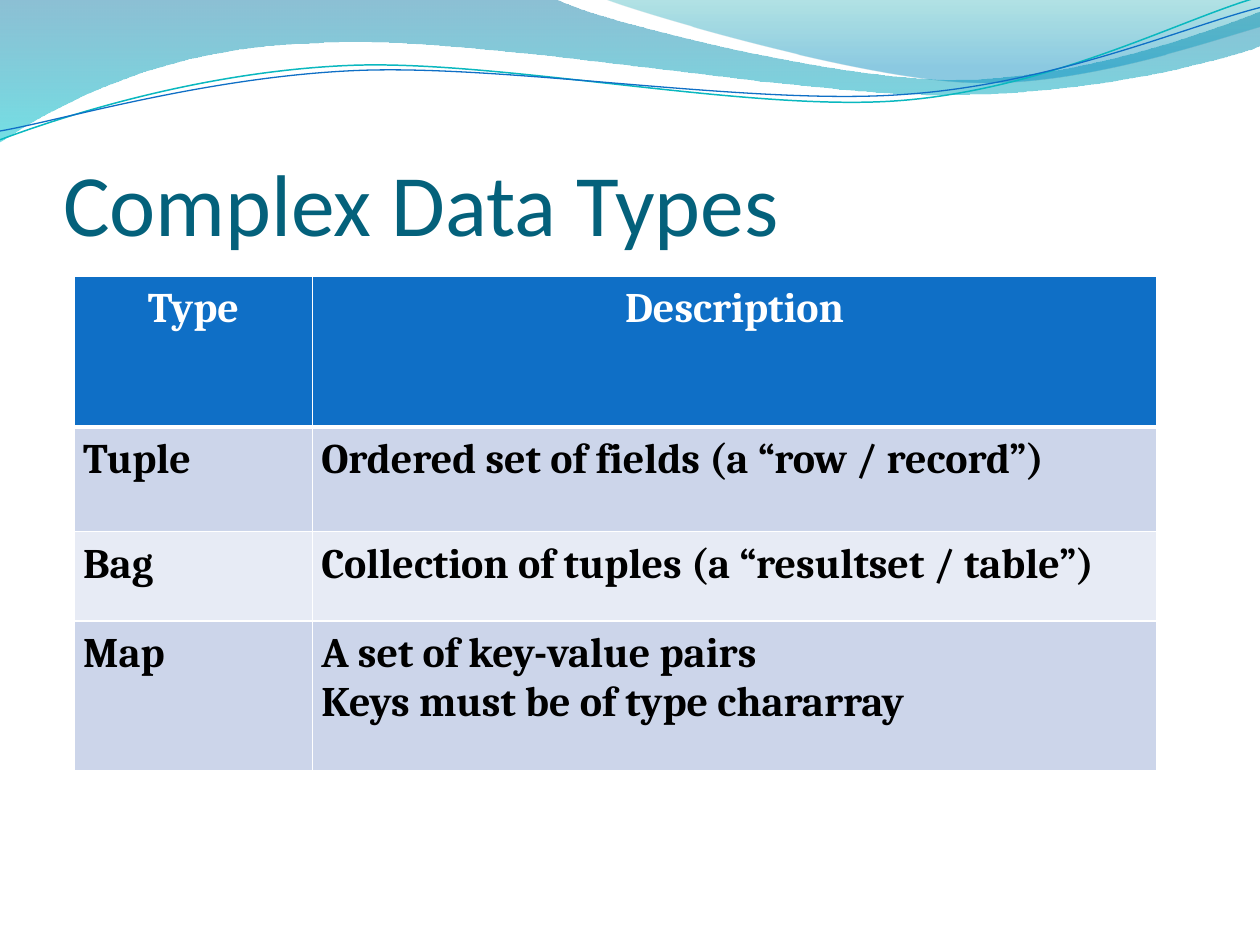
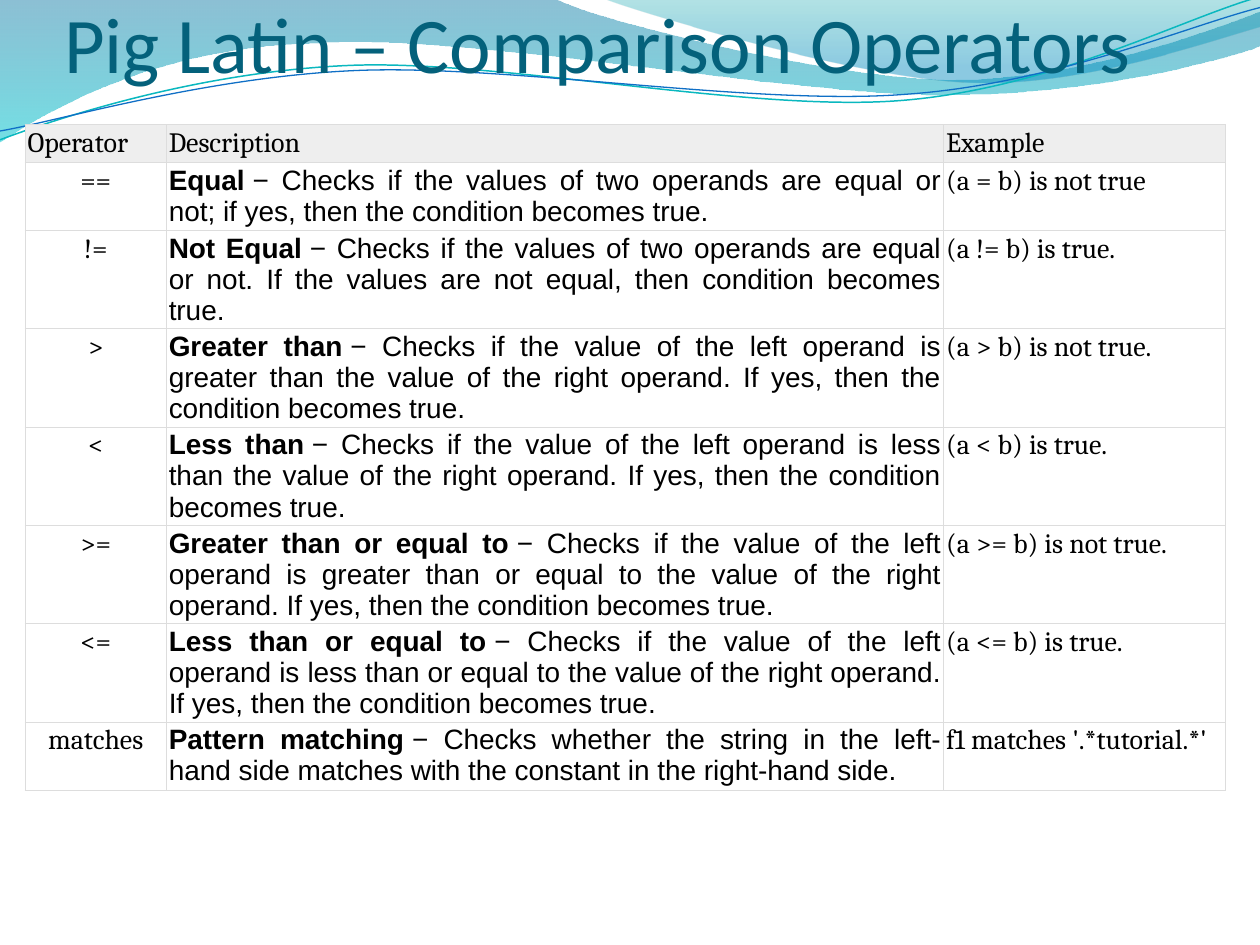
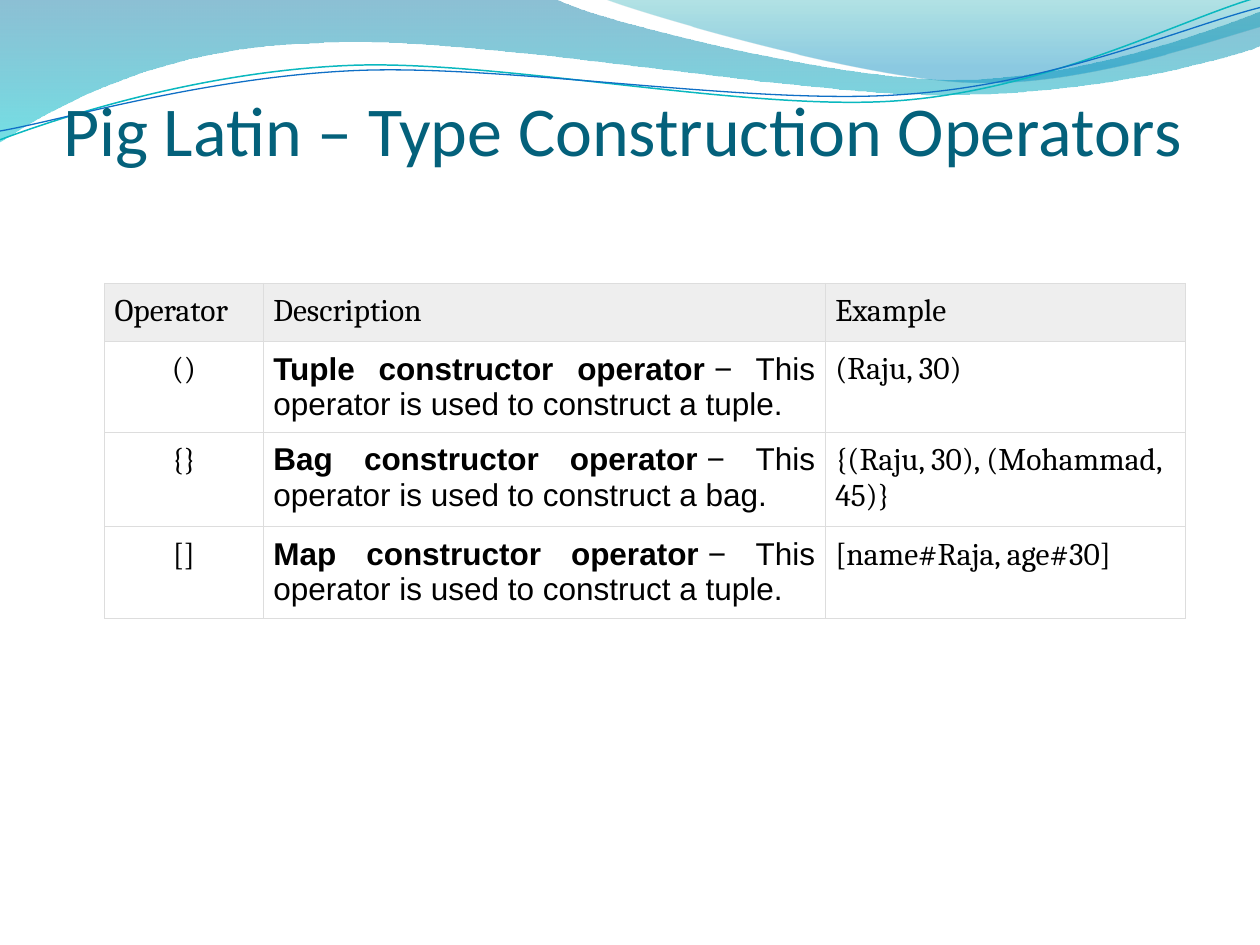
from lxml.etree import Element, SubElement as sub
from pptx import Presentation
from pptx.dml.color import RGBColor
from pptx.enum.text import MSO_ANCHOR as Anchor, MSO_AUTO_SIZE as Fit, PP_ALIGN as Align
from pptx.oxml.ns import qn
from pptx.util import Inches, Pt

WHITE = RGBColor(0xFF, 0xFF, 0xFF)
BLACK = RGBColor(0x00, 0x00, 0x00)
TITLE = RGBColor(0x04, 0x61, 0x7B)
BLUE = RGBColor(0x0F, 0x6F, 0xC6)
TEAL = RGBColor(0x0A, 0xB8, 0xBF)
DEEP = RGBColor(0x00, 0x74, 0xA1)
AQUA = RGBColor(0x00, 0xC6, 0xCF)
SEA = RGBColor(0x00, 0xA1, 0xA9)
SKY = RGBColor(0x00, 0x8B, 0xBF)
ODD = RGBColor(0xCC, 0xD5, 0xEA)
EVEN = RGBColor(0xE7, 0xEB, 0xF5)
GRAY = RGBColor(0xEE, 0xEE, 0xEE)
RULE = RGBColor(0xDD, 0xDD, 0xDD)

HEAD, SERIF, SANS = "Calibri", "Cambria", "Arial"
DASH = chr(160) + "− "

BANDS = [
    ([(0, 0), (4.4, -0.01),
      (4.76, 0.17, 6.64, 0.63, 7.58, 0.63), (8.53, 0.63, 9.58, 0.26, 10, 0.09),
      (10.01, 0.36), (9.83, 0.44, 8.7, 0.76, 7.46, 0.75),
      (6.22, 0.75, 3.82, 0.28, 2.57, 0.34), (1.29, 0.36, 0.46, 0.83, -0.01, 1.13)],
     [(0, DEEP, 45), (1, AQUA, 55)]),
    ([(4.79, -0.01), (5.09, 0.11, 6.82, 0.62, 7.69, 0.65),
      (8.56, 0.69, 9.61, 0.32, 10, 0.21), (10, 0)],
     [(0, SEA, 30), (0.8, SKY, 45)]),
]
WAVES = [
    ([(0, 1.11), (0.48, 0.93, 1.58, 0.57, 2.77, 0.52),
      (3.95, 0.47, 5.93, 0.89, 7.13, 0.8), (8.33, 0.71, 9.38, 0.15, 9.98, -0.02)],
     TEAL, 0.85),
    ([(0, 1.04), (0.47, 0.96, 1.64, 0.61, 2.83, 0.56),
      (4.03, 0.51, 5.97, 0.84, 7.17, 0.75), (8.36, 0.67, 9.41, 0.21, 10, 0.06)],
     BLUE, 0.75),
]

TYPES = [
    ("Type", ["Description"]),
    ("Tuple", ["Ordered set of fields (a “row / record”)"]),
    ("Bag", ["Collection of tuples (a “resultset / table”)"]),
    ("Map", ["A set of key-value pairs", "Keys must be of type chararray"]),
]
NAMES = ("Operator", "Description", "Example")
COMPARE = [
    ("==", "Equal", "Checks if the values of two operands are equal or not; "
     "if yes, then the condition becomes true.", "(a = b) is not true"),
    ("!=", "Not Equal", "Checks if the values of two operands are equal or not. "
     "If the values are not equal, then condition becomes true.", "(a != b) is true."),
    (">", "Greater than", "Checks if the value of the left operand is greater than the value "
     "of the right operand. If yes, then the condition becomes true.", "(a > b) is not true."),
    ("<", "Less than", "Checks if the value of the left operand is less than the value "
     "of the right operand. If yes, then the condition becomes true.", "(a < b) is true."),
    (">=", "Greater than or equal to", "Checks if the value of the left operand is greater than "
     "or equal to the value of the right operand. If yes, then the condition becomes true.",
     "(a >= b) is not true."),
    ("<=", "Less than or equal to", "Checks if the value of the left operand is less than "
     "or equal to the value of the right operand. If yes, then the condition becomes true.",
     "(a <= b) is true."),
    ("matches", "Pattern matching", "Checks whether the string in the left-hand side matches "
     "with the constant in the right-hand side.", "f1 matches '.*tutorial.*'"),
]
BUILD = [
    ("()", "Tuple constructor operator", "This operator is used to construct a tuple.",
     "(Raju, 30)"),
    ("{}", "Bag constructor operator", "This operator is used to construct a bag.",
     "{(Raju, 30), (Mohammad, 45)}"),
    ("[]", "Map constructor operator", "This operator is used to construct a tuple.",
     "[name#Raja, age#30]"),
]


def write(frame, *lines, size, font=SERIF, color=BLACK, bold=False, align=Align.LEFT):
    for i, line in enumerate(lines):
        para = frame.add_paragraph() if i else frame.paragraphs[0]
        para.alignment = align
        runs = [(line, bold)] if isinstance(line, str) else line
        for text, heavy in runs:
            run = para.add_run()
            run.text = text
            run.font.size = Pt(size)
            run.font.name = font
            run.font.bold = heavy
            run.font.color.rgb = color


def curve(slide, parts, close):
    ends = [tuple(map(Inches, part[-2:])) for part in parts]
    pen = slide.shapes.build_freeform(*ends[0], scale=1.0)
    pen.add_line_segments(ends[1:], close=close)
    shape = pen.convert_to_shape()
    shape.shadow.inherit = False
    nodes = list(shape.element.iter(qn("a:lnTo")))
    for node, part in zip(nodes, parts[1:]):
        if len(part) == 6:
            node.tag = qn("a:cubicBezTo")
            for i in (0, 1):
                x, y = map(Inches, part[2 * i:2 * i + 2])
                node.insert(i, Element(qn("a:pt"), x=str(x - shape.left), y=str(y - shape.top)))
    return shape


def band(slide, parts, stops):
    shape = curve(slide, parts, True)
    shape.line.fill.background()
    shape.fill.gradient()
    shape.fill.gradient_angle = 270
    for stop, (place, color, _) in zip(shape.fill.gradient_stops, stops):
        stop.position = place
        stop.color.rgb = color
    for node, (_, _, alpha) in zip(shape.element.iter(qn("a:srgbClr")), stops):
        sub(node, qn("a:alpha"), val=str(alpha * 1000))
    return shape


def wave(slide, parts, color, width):
    shape = curve(slide, parts, False)
    shape.fill.background()
    shape.line.color.rgb = color
    shape.line.width = Pt(width)
    return shape


def dress(layout, slide):
    shapes = [band(slide, *spec) for spec in BANDS] + [wave(slide, *spec) for spec in WAVES]
    for i, shape in enumerate(shapes):
        layout.shapes.element.insert(2 + i, shape.element)


def head(slide, text, box, size, drop=0):
    title = slide.shapes.title
    title.left, title.top, title.width, title.height = map(Inches, box)
    frame = title.text_frame
    frame.word_wrap = True
    frame.auto_size = Fit.NONE
    frame.vertical_anchor = Anchor.BOTTOM
    frame.margin_left = frame.margin_right = 0
    frame.margin_top, frame.margin_bottom = Inches(0.05), Inches(drop)
    write(frame, text, size=size, font=HEAD, color=TITLE)


def edge(cell, color, width, base=None):
    props = cell._tc.get_or_add_tcPr()
    for side in "LRTB":
        wide = base if base and side == "B" else width
        line = sub(props, qn("a:ln" + side), w=str(Pt(wide)))
        sub(sub(line, qn("a:solidFill")), qn("a:srgbClr"), val=str(color))


def paint(cell, color, pad):
    cell.margin_left = cell.margin_right = cell.margin_top = cell.margin_bottom = Inches(pad)
    if color is None:
        cell.fill.background()
    else:
        cell.fill.solid()
        cell.fill.fore_color.rgb = color


def grid(slide, left, top, cols, rows):
    table = slide.shapes.add_table(len(rows), len(cols), Inches(left), Inches(top),
                                   Inches(sum(cols)), Inches(sum(rows))).table
    table.horz_banding = False
    for col, width in zip(table.columns, cols):
        col.width = Inches(width)
    for row, height in zip(table.rows, rows):
        row.height = Inches(height)
    return table


def types(slide, left, top, cols, rows):
    table = grid(slide, left, top, cols, rows)
    for r, (name, lines) in enumerate(TYPES):
        top_row = r == 0
        fill = BLUE if top_row else ODD if r % 2 else EVEN
        for c, texts in enumerate(([name], lines)):
            cell = table.cell(r, c)
            edge(cell, WHITE, 1, 3 if top_row else None)
            if r == 1:
                cell._tc.tcPr.find(qn("a:lnT")).set("w", str(Pt(3)))
            paint(cell, fill, 0.07)
            write(cell.text_frame, *texts, size=24, bold=True,
                  color=WHITE if top_row else BLACK,
                  align=Align.CENTER if top_row else Align.LEFT)


def opers(slide, data, left, top, cols, rows, size, pad):
    table = grid(slide, left, top, cols, rows)
    for cell in table.iter_cells():
        edge(cell, RULE, 0.75)
    for c, name in enumerate(NAMES):
        paint(table.cell(0, c), GRAY, pad)
        write(table.cell(0, c).text_frame, name, size=size)
    for r, (sign, name, text, sample) in enumerate(data, 1):
        cells = [table.cell(r, c) for c in range(3)]
        for cell in cells:
            paint(cell, None, pad)
        write(cells[0].text_frame, sign, size=size, align=Align.CENTER)
        write(cells[1].text_frame, [(name, True), (DASH + text, False)],
              size=size, font=SANS, align=Align.JUSTIFY)
        write(cells[2].text_frame, sample, size=size)


def main():
    deck = Presentation()
    deck.slide_width, deck.slide_height = Inches(10), Inches(7.5)
    layout = deck.slide_layouts[5]
    first, second, third = [deck.slides.add_slide(layout) for _ in range(3)]
    dress(layout, first)

    head(first, "Complex Data Types", (0.5, 0.77, 9, 1.25), 50)
    types(first, 0.59, 2.19, (1.89, 6.7), (1.2, 0.83, 0.71, 1.19))

    head(second, "Pig Latin – Comparison Operators", (0.51, 0.21, 9, 1.25), 45, 0.75)
    opers(second, COMPARE, 0.2, 0.99, (1.12, 6.17, 2.24),
          (0.3, 0.54, *[0.78] * 5, 0.54), 16, 0.02)

    head(third, "Pig Latin – Type Construction Operators", (0.5, 0.77, 9.07, 1.25), 40, 0.67)
    opers(third, BUILD, 0.83, 2.25, (1.26, 4.46, 2.86), (0.46, 0.72, 0.75, 0.73), 18, 0.08)

    deck.save("out.pptx")


if __name__ == "__main__":
    main()
